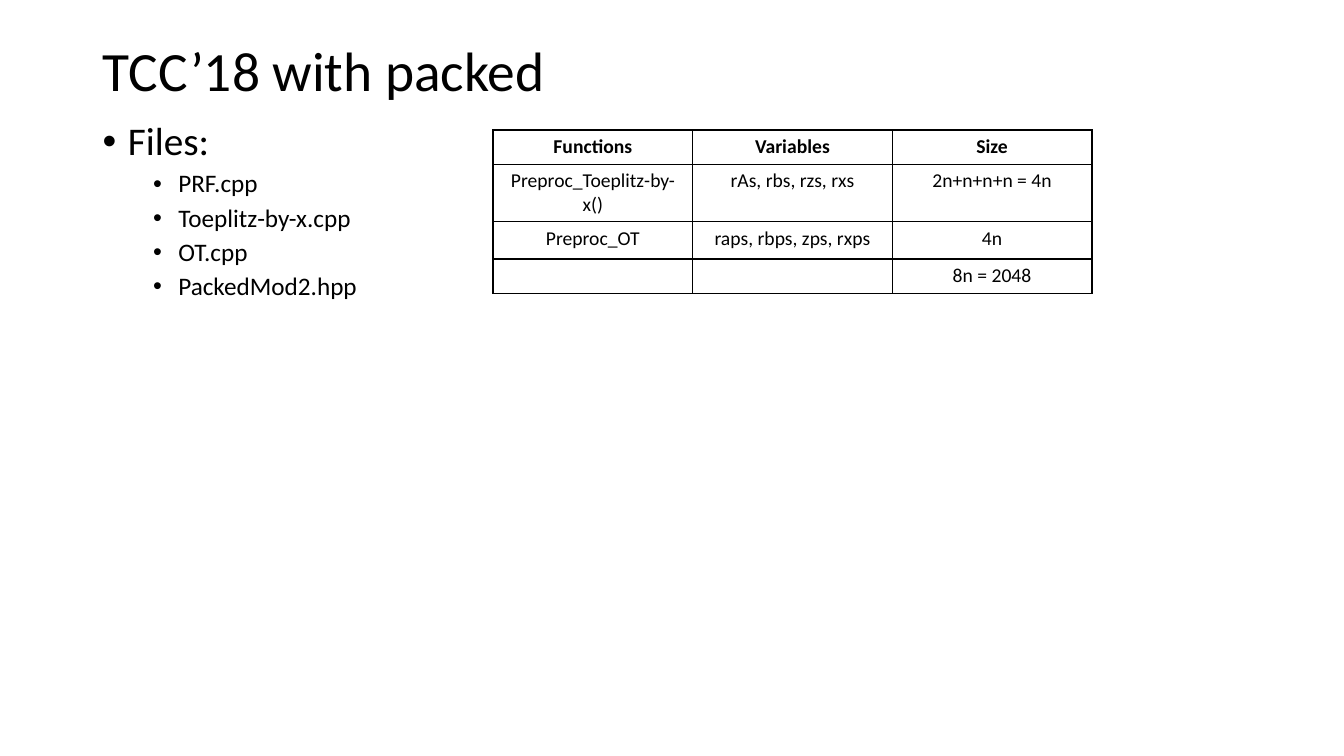
from lxml.etree import SubElement
from pptx import Presentation
from pptx.dml.color import RGBColor
from pptx.enum.text import MSO_ANCHOR as Anchor, MSO_AUTO_SIZE as AutoSize, PP_ALIGN as Align
from pptx.oxml.ns import qn
from pptx.util import Inches, Pt

FONT = "Calibri"
INK = "000000"
MARGIN = 0.92
COLUMN_WIDTH = 1.98
ROW_HEIGHTS = [0.34, 0.57, 0.37, 0.34]
FILES = ["PRF.cpp", "Toeplitz-by-x.cpp", "OT.cpp", "PackedMod2.hpp"]
SIZES = [
    ["Functions", "Variables", "Size"],
    ["Preproc_Toeplitz-by-x()", "rAs, rbs, rzs, rxs", "2n+n+n+n = 4n"],
    ["Preproc_OT", "raps, rbps, zps, rxps", "4n"],
    ["", "", "8n = 2048"],
]


def color(hex_code):
    return RGBColor.from_string(hex_code)


def place(shape, left, top, width, height):
    shape.left, shape.top = Inches(left), Inches(top)
    shape.width, shape.height = Inches(width), Inches(height)


def write(paragraph, text, size, bold=False, align=Align.LEFT, spacing=None, before=0):
    paragraph.alignment = align
    paragraph.line_spacing = spacing
    paragraph.space_before = Pt(before)
    if not text:
        SubElement(paragraph._p, qn("a:endParaRPr"), sz=str(size * 100))
        return
    run = paragraph.add_run()
    run.text = text
    run.font.name = FONT
    run.font.size = Pt(size)
    run.font.bold = bold
    run.font.color.rgb = color(INK)


def add_bullet(paragraph, indent, hanging=0.25):
    properties = paragraph._p.get_or_add_pPr()
    properties.set("marL", str(Inches(indent)))
    properties.set("indent", str(-Inches(hanging)))
    SubElement(properties, qn("a:buFont"), typeface="Arial")
    SubElement(properties, qn("a:buChar"), char="•")


def add_title(slide, text):
    title = slide.shapes.title
    place(title, MARGIN, 0.4, 11.5, 0.66)
    frame = title.text_frame
    frame.auto_size = AutoSize.NONE
    frame.vertical_anchor = Anchor.MIDDLE
    write(frame.paragraphs[0], text, 39.6, spacing=0.9)


def add_file_list(slide, heading, files):
    box = slide.shapes.add_textbox(0, 0, 0, 0)
    place(box, MARGIN, 1.16, 3.71, 2.19)
    frame = box.text_frame
    frame.word_wrap = True
    first = frame.paragraphs[0]
    write(first, heading, 28, spacing=0.9, before=10)
    add_bullet(first, 0.25)
    for file in files:
        item = frame.add_paragraph()
        item.level = 1
        write(item, file, 18, spacing=0.9, before=5)
        add_bullet(item, 0.75)


def add_borders(cell):
    properties = cell._tc.get_or_add_tcPr()
    for side in ("lnL", "lnR", "lnT", "lnB"):
        line = SubElement(properties, qn(f"a:{side}"), w=str(Pt(1)))
        SubElement(SubElement(line, qn("a:solidFill")), qn("a:srgbClr"), val=INK)


def add_size_table(slide, rows):
    columns = len(rows[0])
    table = slide.shapes.add_table(
        len(rows), columns, Inches(4.89), Inches(1.29),
        Inches(COLUMN_WIDTH * columns), Inches(sum(ROW_HEIGHTS))).table
    table.horz_banding = False
    for column in table.columns:
        column.width = Inches(COLUMN_WIDTH)
    for r, (values, height) in enumerate(zip(rows, ROW_HEIGHTS)):
        table.rows[r].height = Inches(height)
        for c, value in enumerate(values):
            cell = table.cell(r, c)
            add_borders(cell)
            cell.fill.background()
            write(cell.text_frame.paragraphs[0], value, 14, bold=r == 0, align=Align.CENTER)


def main():
    deck = Presentation()
    deck.slide_width, deck.slide_height = Inches(13.33), Inches(7.5)
    slide = deck.slides.add_slide(deck.slide_layouts[5])
    add_title(slide, "TCC’18 with packed")
    add_file_list(slide, "Files:", FILES)
    add_size_table(slide, SIZES)
    deck.save("out.pptx")


main()
